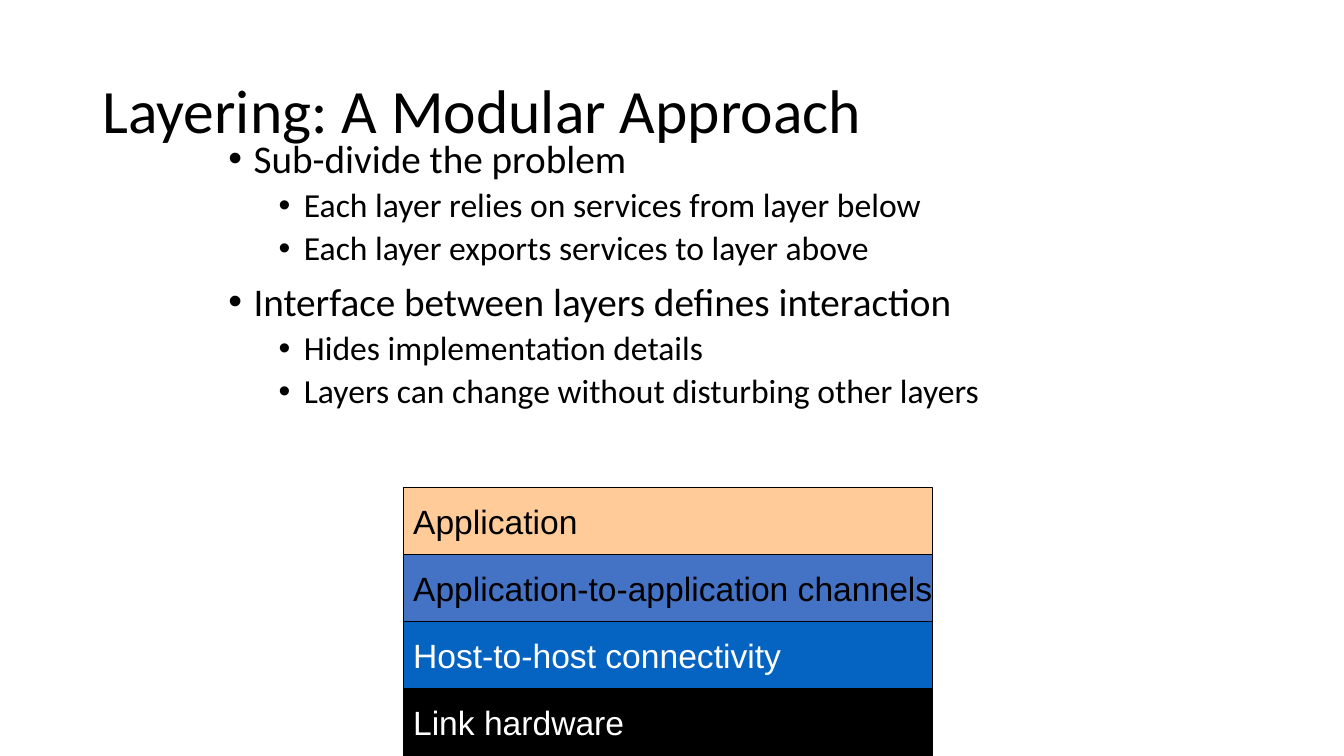
"""Build a slide on layering as a modular approach."""
from dataclasses import dataclass

import lxml.etree
import pptx
import pptx.dml.color
import pptx.enum.shapes
import pptx.enum.text
import pptx.oxml.ns
import pptx.util

Pt = pptx.util.Pt


@dataclass(frozen=True)
class Theme:
    """Fonts, colours and type sizes of the slide."""
    text_font: str = "Calibri"
    layer_font: str = "Arial"
    title_size: int = 44
    bullet_sizes: tuple = (28, 24)
    layer_size: int = 24
    black: str = "000000"
    white: str = "FFFFFF"
    peach: str = "FFCC99"
    mid_blue: str = "4472C4"
    deep_blue: str = "0563C1"


THEME = Theme()
BULLETS = [
    (0, "Sub-divide the problem"),
    (1, "Each layer relies on services from layer below"),
    (1, "Each layer exports services to layer above"),
    (0, "Interface between layers defines interaction"),
    (1, "Hides implementation details"),
    (1, "Layers can change without disturbing other layers"),
]
LAYERS = [
    ("Application", THEME.peach, THEME.black),
    ("Application-to-application channels", THEME.mid_blue, THEME.black),
    ("Host-to-host connectivity", THEME.deep_blue, THEME.white),
    ("Link hardware", THEME.black, THEME.white),
]


def rgb(code):
    """Return a colour from its hex code."""
    return pptx.dml.color.RGBColor.from_string(code)


def style(para, font, size, color):
    """Set the font of a left-aligned paragraph."""
    para.alignment = pptx.enum.text.PP_ALIGN.LEFT
    para.font.name = font
    para.font.size = Pt(size)
    para.font.color.rgb = rgb(color)


def set_title(page, text):
    """Place and format the title placeholder."""
    title = page.shapes.title
    title.left, title.top, title.width, title.height = Pt(66), Pt(28.8), Pt(828), Pt(104.4)
    frame = title.text_frame
    frame.text = text
    frame.word_wrap = True
    frame.auto_size = pptx.enum.text.MSO_AUTO_SIZE.NONE
    frame.vertical_anchor = pptx.enum.text.MSO_ANCHOR.MIDDLE
    para = frame.paragraphs[0]
    para.line_spacing = 0.9
    style(para, THEME.text_font, THEME.title_size, THEME.black)


def add_bullet(para, level):
    """Give a paragraph a hanging bullet for its level."""
    properties = para._p.get_or_add_pPr()
    properties.set("marL", str(Pt(18 + 36 * level)))
    properties.set("indent", str(-Pt(18)))
    for tag, name, value in (("a:buFont", "typeface", "Arial"), ("a:buChar", "char", "•")):
        element = lxml.etree.SubElement(properties, pptx.oxml.ns.qn(tag))
        element.set(name, value)


def add_bullets(page, items):
    """Add the two-level bullet list."""
    box = page.shapes.add_textbox(Pt(156), Pt(96), Pt(666), Pt(234.6))
    frame = box.text_frame
    frame.word_wrap = True
    for index, (level, text) in enumerate(items):
        para = frame.add_paragraph() if index else frame.paragraphs[0]
        para.text = text
        para.level = level
        add_bullet(para, level)
        para.line_spacing = 0.9
        para.space_before = Pt((10, 5)[level] if index else 0)
        style(para, THEME.text_font, THEME.bullet_sizes[level], THEME.black)


def add_layer(page, top, text, fill, color):
    """Add one outlined layer of the stack."""
    box = page.shapes.add_shape(
        pptx.enum.shapes.MSO_SHAPE.RECTANGLE, Pt(288), Pt(top), Pt(378), Pt(48))
    box.shadow.inherit = False
    box.fill.solid()
    box.fill.fore_color.rgb = rgb(fill)
    box.line.color.rgb = rgb(THEME.black)
    box.line.width = Pt(0.75)
    frame = box.text_frame
    frame.word_wrap = False
    frame.vertical_anchor = pptx.enum.text.MSO_ANCHOR.MIDDLE
    frame.text = text
    style(frame.paragraphs[0], THEME.layer_font, THEME.layer_size, color)


def main():
    """Build and save the deck."""
    deck = pptx.Presentation()
    deck.slide_width, deck.slide_height = Pt(960), Pt(540)
    page = deck.slides.add_slide(deck.slide_layouts.get_by_name("Title Only"))
    set_title(page, "Layering: A Modular Approach")
    add_bullets(page, BULLETS)
    for index, layer in enumerate(LAYERS):
        add_layer(page, 348 + 48 * index, *layer)
    deck.save("out.pptx")


if __name__ == "__main__":
    main()
